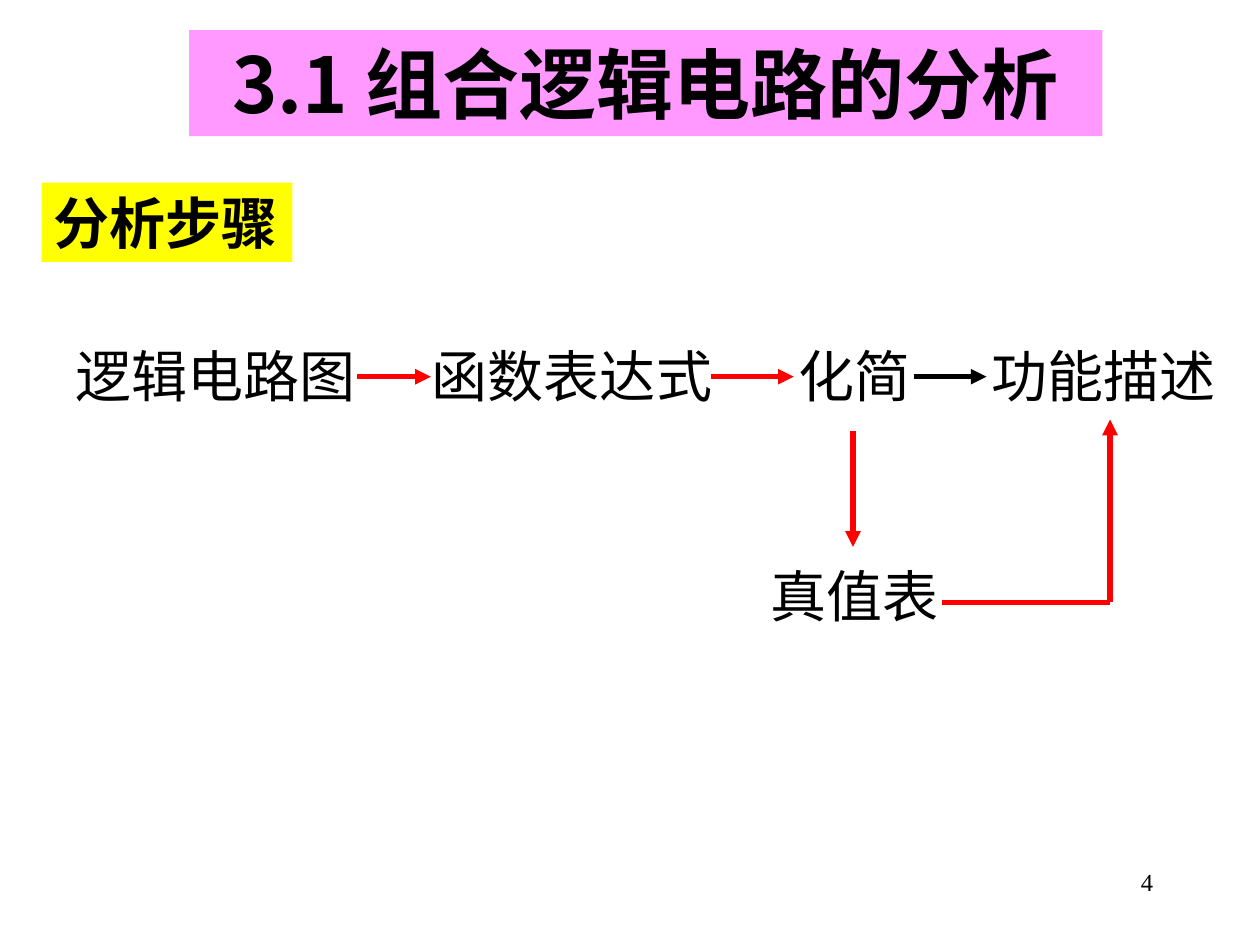
from dataclasses import dataclass
from lxml import etree
from pptx import Presentation
from pptx.dml.color import RGBColor
from pptx.enum.shapes import MSO_CONNECTOR, MSO_SHAPE
from pptx.enum.text import MSO_ANCHOR, PP_ALIGN
from pptx.oxml.ns import qn
from pptx.util import Inches, Pt

LINE = MSO_CONNECTOR.STRAIGHT
RECT = MSO_SHAPE.RECTANGLE
TOP, MID = MSO_ANCHOR.TOP, MSO_ANCHOR.MIDDLE
LEFT, CENTER, RIGHT = PP_ALIGN.LEFT, PP_ALIGN.CENTER, PP_ALIGN.RIGHT


@dataclass(frozen=True)
class Theme:
    black: str = "000000"
    red: str = "FF0000"
    pink: str = "FF99FF"
    yellow: str = "FFFF00"
    sans: str = "Noto Sans CJK SC"
    serif: str = "Times New Roman"
    title: int = 44
    body: int = 32
    small: int = 14
    stroke: int = 3


def write(shape, text, size, font, color, bold=False, align=LEFT,
          anchor=MID, wrap=False, pad=0):
    frame = shape.text_frame
    frame.word_wrap = wrap
    frame.vertical_anchor = anchor
    frame.margin_top = frame.margin_bottom = Inches(pad)
    if not wrap:
        frame.margin_right = 0
    para = frame.paragraphs[0]
    para.alignment = align
    run = para.add_run()
    run.text = text
    run.font.size = Pt(size)
    run.font.bold = bold
    run.font.name = font
    run.font.color.rgb = RGBColor.from_string(color)
    props = run.font._element
    etree.SubElement(props, qn("a:ea")).set("typeface", font)


class Deck:
    def __init__(self, theme, slide):
        self.theme = theme
        self.slide = slide

    def label(self, text, box, **style):
        shape = self.slide.shapes.add_textbox(*map(Inches, box))
        base = dict(size=self.theme.body, font=self.theme.sans,
                    color=self.theme.black)
        write(shape, text, **(base | style))

    def banner(self, text, box, fill, **style):
        shape = self.slide.shapes.add_shape(RECT, *map(Inches, box))
        shape.shadow.inherit = False
        shape.fill.solid()
        shape.fill.fore_color.rgb = RGBColor.from_string(fill)
        shape.line.fill.background()
        write(shape, text, font=self.theme.sans, color=self.theme.black,
              bold=True, **style)

    def line(self, start, end, color, arrow=True):
        link = self.slide.shapes.add_connector(
            LINE, *map(Inches, (*start, *end)))
        link.line.color.rgb = RGBColor.from_string(color)
        link.line.width = Pt(self.theme.stroke)
        if arrow:
            stroke = link.line._get_or_add_ln()
            etree.SubElement(stroke, qn("a:tailEnd")).set("type", "triangle")
        etree.SubElement(link._element.spPr, qn("a:effectLst"))


def main():
    theme = Theme()
    show = Presentation()
    show.slide_width, show.slide_height = Inches(10), Inches(7.5)
    deck = Deck(theme, show.slides.add_slide(show.slide_layouts[6]))

    deck.label("4", (7.17, 6.83, 2.08, 0.5), size=theme.small,
               font=theme.serif, align=RIGHT, anchor=TOP, wrap=True, pad=0.05)
    deck.banner("3.1 组合逻辑电路的分析", (1.5, 0.24, 7.25, 0.84), theme.pink,
                size=theme.title, align=CENTER, wrap=True)
    deck.banner("分析步骤", (0.33, 1.45, 1.99, 0.63), theme.yellow,
                size=theme.body)

    high = 0.63
    row, axis = 2.66, 2.99
    steps = [("逻辑电路图", 0.5, 2.42), ("函数表达式", 3.33, 2.42),
             ("化简", 6.24, 1.09), ("功能描述", 7.77, 1.98)]
    for text, left, wide in steps:
        deck.label(text, (left, row, wide, high))
    deck.label("真值表", (6.02, 4.41, 1.53, high))

    flows = [(2.83, 3.42, theme.red), (5.64, 6.3, theme.red),
             (7.25, 7.83, theme.black)]
    for start, end, color in flows:
        deck.line((start, axis), (end, axis), color)

    deck.line((6.77, 3.42), (6.77, 4.34), theme.red)
    bend = (8.81, 4.78)
    deck.line((7.48, 4.78), bend, theme.red, arrow=False)
    deck.line(bend, (8.81, 3.33), theme.red)

    show.save("out.pptx")


if __name__ == "__main__":
    main()
